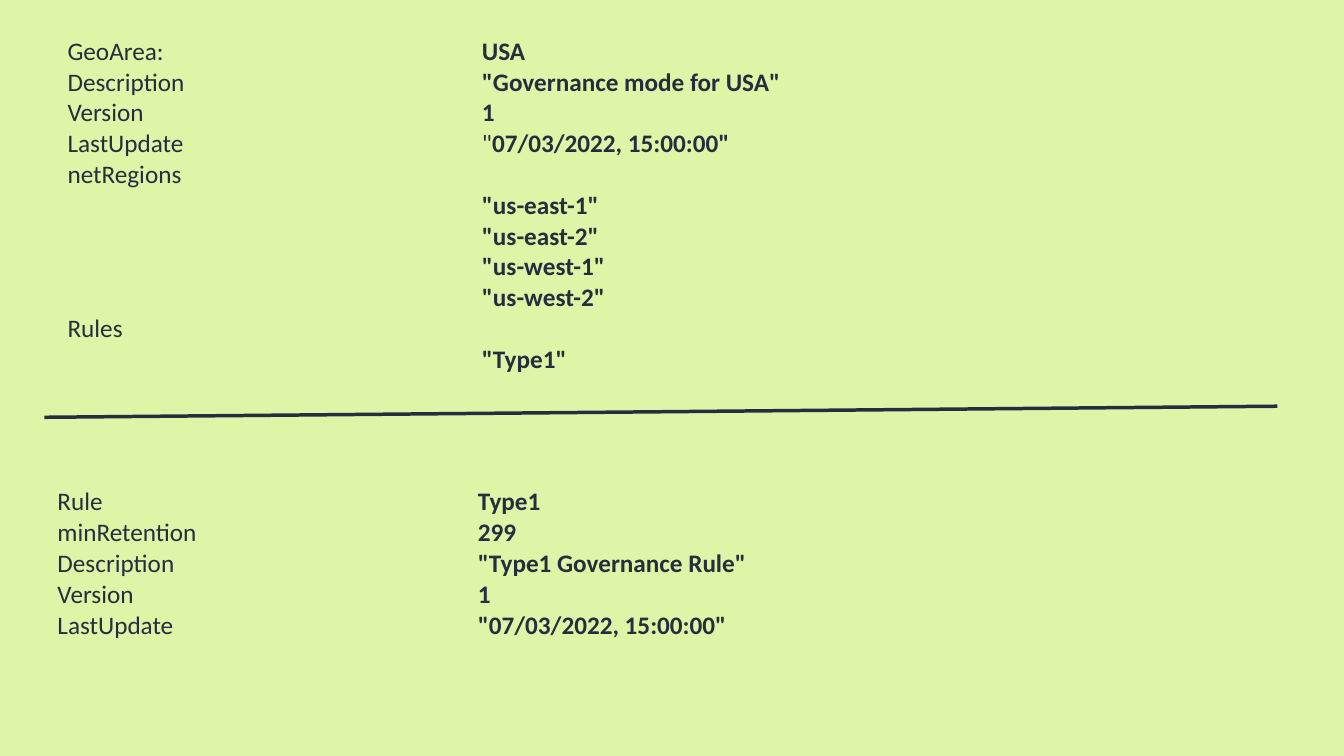
from lxml import etree
from pptx import Presentation
from pptx.dml.color import RGBColor
from pptx.enum.shapes import MSO_CONNECTOR
from pptx.enum.text import MSO_ANCHOR
from pptx.oxml.ns import qn
from pptx.util import Emu, Pt

LINE = MSO_CONNECTOR.STRAIGHT
MIDDLE = MSO_ANCHOR.MIDDLE
PLAIN = "{2D5ABB26-0587-4C30-8999-92F81FD0307C}"  # table style without grid
INK, LIME = "232F3E", "DEF4A7"
FONT = "Calibri"
WIDTH, ROW = 1200, 30

# Each row holds a label, the plain part of its value and the bold part.
AREA = [
    ("GeoArea:", "", "USA"),
    ("Description", "", '"Governance mode for USA"'),
    ("Version", "", "1"),
    ("LastUpdate", '"', '07/03/2022, 15:00:00"'),
    ("netRegions", "", ""),
    ("", "", '"us-east-1"'),
    ("", "", '"us-east-2"'),
    ("", "", '"us-west-1"'),
    ("", "", '"us-west-2"'),
    ("Rules", "", ""),
    ("", "", '"Type1"'),
]
RULE = [
    ("Rule", "", "Type1"),
    ("minRetention", "", "299"),
    ("Description", "", '"Type1 Governance Rule"'),
    ("Version", "", "1"),
    ("LastUpdate", "", '"07/03/2022, 15:00:00"'),
]


def px(n):
    """Turn px, 100 to the inch, into EMU."""
    return Emu(n * 9144)


def color(code):
    return RGBColor.from_string(code)


def fill_cell(cell, runs):
    cell.fill.background()
    cell.vertical_anchor = MIDDLE
    cell.margin_left = cell.margin_right = 0
    cell.margin_top = cell.margin_bottom = 0
    para = cell.text_frame.paragraphs[0]
    for text, bold in runs:
        if text:
            run = para.add_run()
            run.text = text
            font = run.font
            font.name, font.size, font.bold = FONT, Pt(18), bold
            font.color.rgb = color(INK)


def add_fields(slide, left, top, split, rows):
    """Place a table of labels and values, parted at split."""
    frame = slide.shapes.add_table(
        len(rows), 2, px(left), px(top), px(WIDTH), px(ROW * len(rows)))
    table = frame.table
    table.first_row = table.horz_banding = False
    table._tbl.tblPr.find(qn("a:tableStyleId")).text = PLAIN
    table.columns[0].width = px(split)
    table.columns[1].width = px(WIDTH - split)
    for i, (label, lead, value) in enumerate(rows):
        fill_cell(table.cell(i, 0), [(label, False)])
        fill_cell(table.cell(i, 1), [(lead, False), (value, True)])


def add_line(slide, x1, y1, x2, y2):
    line = slide.shapes.add_connector(LINE, px(x1), px(y1), px(x2), px(y2))
    line.line.color.rgb = color(INK)
    line.line.width = Pt(2.5)
    etree.SubElement(line._element.spPr, qn("a:effectLst"))


def main():
    deck = Presentation()
    deck.slide_width, deck.slide_height = px(1333), px(750)
    slide = deck.slides.add_slide(deck.slide_layouts[6])
    back = slide.background.fill
    back.solid()
    back.fore_color.rgb = color(LIME)
    add_fields(slide, 67, 36, 411, AREA)
    add_fields(slide, 57, 483, 417, RULE)
    add_line(slide, 44, 414, 1267, 403)
    deck.save("out.pptx")


if __name__ == "__main__":
    main()
